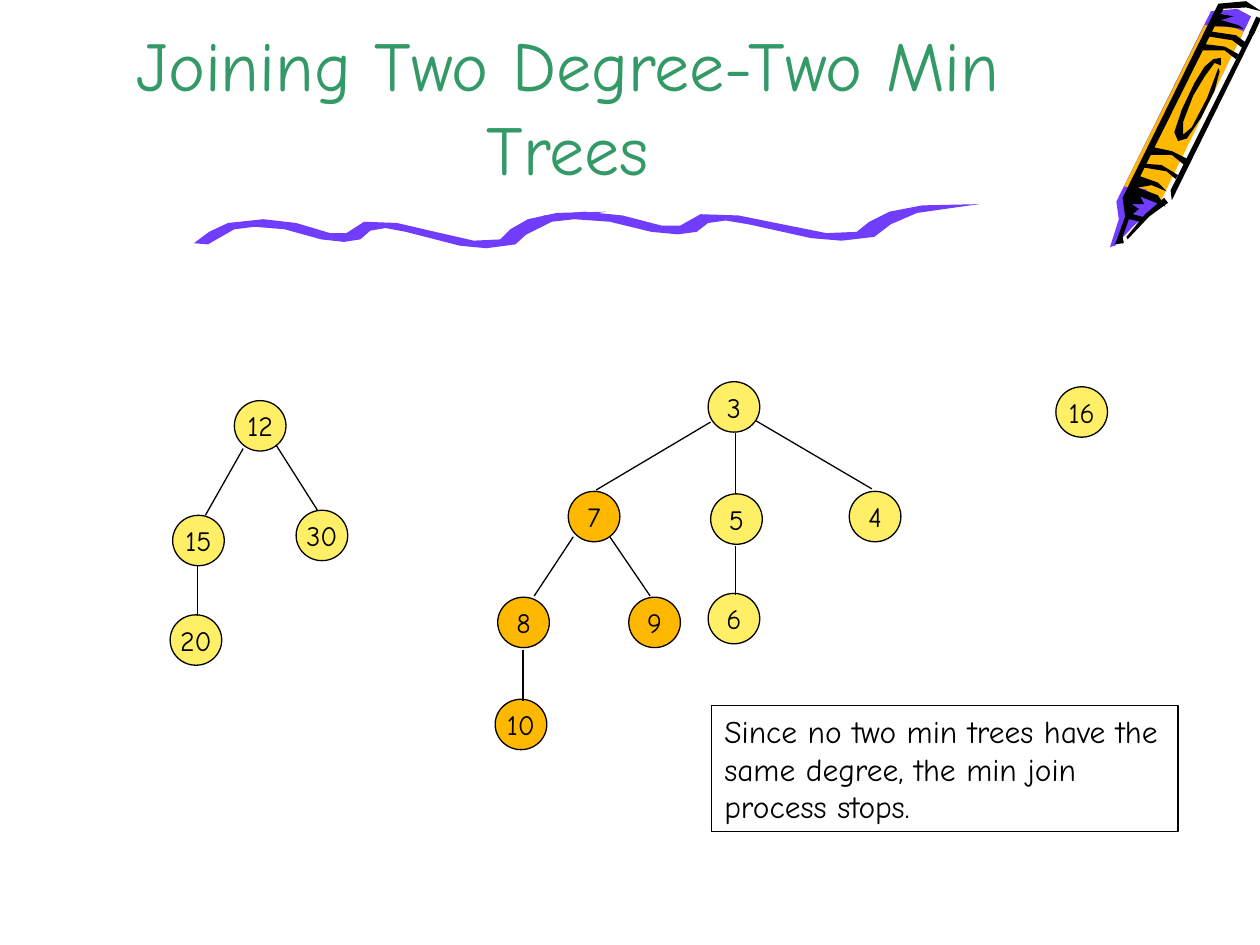
from lxml.etree import SubElement
from pptx import Presentation
from pptx.dml.color import RGBColor
from pptx.enum.shapes import MSO_CONNECTOR, MSO_SHAPE
from pptx.enum.text import MSO_ANCHOR as ANCHOR, PP_ALIGN as ALIGN
from pptx.oxml.ns import qn
from pptx.util import Inches, Pt

FONT = "Comic Neue"
BLACK = RGBColor(0x00, 0x00, 0x00)
PURPLE = RGBColor(0x70, 0x3D, 0xFF)
ORANGE = RGBColor(0xFF, 0xB8, 0x00)
YELLOW = RGBColor(0xFF, 0xEF, 0x66)
GREEN = RGBColor(0x33, 0x99, 0x66)

CRAYON = [
    (PURPLE, [(113, 13), (37, 166), (21, 178), (5, 195), (1, 196), (8, 174), (6, 160),
              (81, 9), (102, 7)]),
    (ORANGE, [(41, 160), (29, 150), (12, 148), (76, 20), (99, 22), (107, 25)]),
    (BLACK, [(47, 161), (32, 172), (15, 190), (14, 188), (29, 170), (44, 157)]),
    (BLACK, [(107, 23), (93, 21), (81, 21), (88, 11), (99, 13), (89, 16), (103, 20)]),
    (BLACK, [(88, 57), (84, 72), (73, 94), (62, 110), (55, 112), (52, 105), (58, 87),
             (68, 66), (76, 53), (83, 47), (89, 46), (89, 52), (84, 50), (76, 61),
             (67, 76), (59, 97), (59, 107), (66, 101), (78, 78), (87, 54)]),
    (BLACK, [(117, 23), (50, 159), (49, 151), (113, 23)]),
    (BLACK, [(45, 164), (39, 155), (23, 149), (34, 147), (46, 152), (39, 145), (25, 140),
             (91, 7), (109, 6), (121, 9), (109, 1), (87, 3), (11, 157), (13, 172),
             (5, 194), (12, 193), (11, 188), (16, 174), (25, 176), (30, 173), (19, 170),
             (24, 166), (18, 162), (28, 162), (25, 156)]),
    (BLACK, [(53, 142), (46, 136), (28, 133), (29, 130), (42, 131), (55, 139)]),
    (BLACK, [(60, 131), (50, 123), (33, 123), (36, 117), (50, 120), (62, 126)]),
    (BLACK, [(101, 47), (92, 40), (73, 40), (76, 35), (92, 37), (103, 43)]),
    (BLACK, [(106, 38), (98, 32), (79, 29), (81, 25), (101, 28), (109, 34)]),
]
WAVE = [(11, 26), (32, 14), (48, 12), (72, 14), (101, 22), (119, 24), (132, 22), (140, 15),
        (152, 13), (168, 16), (211, 27), (232, 29), (255, 26), (266, 16), (284, 7), (327, 0),
        (288, 1), (265, 6), (251, 14), (243, 22), (222, 23), (200, 18), (161, 9), (135, 8),
        (121, 17), (108, 17), (81, 9), (55, 6), (27, 9), (12, 16), (0, 25)]


def add_outline(s, left, top, points, color, stretch=1):
    """Add a filled polygon whose points are hundredths of an inch."""
    points = [(x * stretch, y) for x, y in points]
    builder = s.shapes.build_freeform(*points[0], scale=Inches(0.01))
    builder.add_line_segments(points[1:], close=True)
    sp = builder.convert_to_shape(Inches(left), Inches(top))
    sp.shadow.inherit = False
    sp.fill.solid()
    sp.fill.fore_color.rgb = color
    sp.line.fill.background()


def add_line(s, x1, y1, x2, y2, width=0.75):
    """Add a plain black straight line."""
    line = s.shapes.add_connector(MSO_CONNECTOR.STRAIGHT, Inches(x1), Inches(y1),
                                  Inches(x2), Inches(y2))
    line.line.color.rgb = BLACK
    line.line.width = Pt(width)
    SubElement(line._element.spPr, qn("a:effectLst"))


def set_text(sp, text, size, color, align, anchor, wrap=True):
    """Fill a shape with one styled paragraph."""
    tf = sp.text_frame
    tf.text = text
    tf.word_wrap = wrap
    tf.vertical_anchor = anchor
    p = tf.paragraphs[0]
    p.alignment = align
    font = p.runs[0].font
    font.name, font.size, font.color.rgb = FONT, Pt(size), color


def add_crayon(s, left, top):
    """Draw the crayon in the corner."""
    for color, points in CRAYON:
        add_outline(s, left, top, points, color)
    add_line(s, left + 1.19, top + 0.14, left + 1.13, top + 0.27, 3)


def add_underline(s, left, top):
    """Draw the wavy stroke as two overlapping waves, the second one longer."""
    add_outline(s, left, top + 0.06, WAVE, PURPLE)
    add_outline(s, left + 2.47, top, WAVE, PURPLE, 1.15)


def add_title(s, left, top, width, height):
    """Add the slide title."""
    sp = s.shapes.add_textbox(Inches(left), Inches(top), Inches(width), Inches(height))
    set_text(sp, "Joining Two Degree-Two Min Trees", 40, GREEN, ALIGN.CENTER, ANCHOR.BOTTOM)


def add_tree(s, left, top, nodes, edges=()):
    """Draw a min tree from keyed nodes and edges relative to its corner."""
    for key, x, y, color in nodes:
        sp = s.shapes.add_shape(MSO_SHAPE.OVAL, Inches(left + x), Inches(top + y),
                                Inches(0.41), Inches(0.4))
        sp.shadow.inherit = False
        sp.fill.solid()
        sp.fill.fore_color.rgb = color
        sp.line.color.rgb = BLACK
        sp.line.width = Pt(0.75)
        set_text(sp, str(key), 16, BLACK, ALIGN.CENTER, ANCHOR.MIDDLE, wrap=False)
    for x1, y1, x2, y2 in edges:
        add_line(s, left + x1, top + y1, left + x2, top + y2)


def add_note(s, left, top, width, height):
    """Add the framed remark."""
    sp = s.shapes.add_textbox(Inches(left), Inches(top), Inches(width), Inches(height))
    sp.line.color.rgb = BLACK
    sp.line.width = Pt(0.75)
    set_text(sp, "Since no two min trees have the same degree, the min join process stops.",
             18, BLACK, ALIGN.LEFT, ANCHOR.TOP)


def main():
    """Build the slide and save it."""
    prs = Presentation()
    prs.slide_width, prs.slide_height = Inches(10), Inches(7.5)
    s = prs.slides.add_slide(prs.slide_layouts[6])
    add_crayon(s, 8.8, 0)
    add_underline(s, 1.54, 1.62)
    add_title(s, 0.75, 0, 7.51, 1.55)
    add_tree(s, 1.35, 3.18,
             [(12, 0.51, 0, YELLOW), (15, 0.02, 0.91, YELLOW),
              (20, 0, 1.7, YELLOW), (30, 1, 0.87, YELLOW)],
             [(0.58, 0.38, 0.28, 0.91), (0.84, 0.35, 1.17, 0.87), (0.22, 1.31, 0.22, 1.71)])
    add_tree(s, 3.93, 3.03,
             [(3, 1.69, 0, YELLOW), (7, 0.58, 0.87, ORANGE), (5, 1.71, 0.89, YELLOW),
              (4, 2.81, 0.87, YELLOW), (8, 0.02, 1.71, ORANGE), (9, 1.06, 1.71, ORANGE),
              (6, 1.69, 1.68, YELLOW), (10, 0, 2.52, ORANGE)],
             [(1.71, 0.32, 0.8, 0.86), (1.91, 0.41, 1.91, 0.89), (2.07, 0.31, 2.99, 0.85),
              (0.62, 1.23, 0.31, 1.7), (0.91, 1.23, 1.23, 1.7), (1.91, 1.3, 1.91, 1.69),
              (0.22, 2.13, 0.22, 2.53)])
    add_tree(s, 8.38, 3.07, [(16, 0, 0, YELLOW)])
    add_note(s, 5.65, 5.6, 3.7, 1)
    prs.save("out.pptx")


if __name__ == "__main__":
    main()
